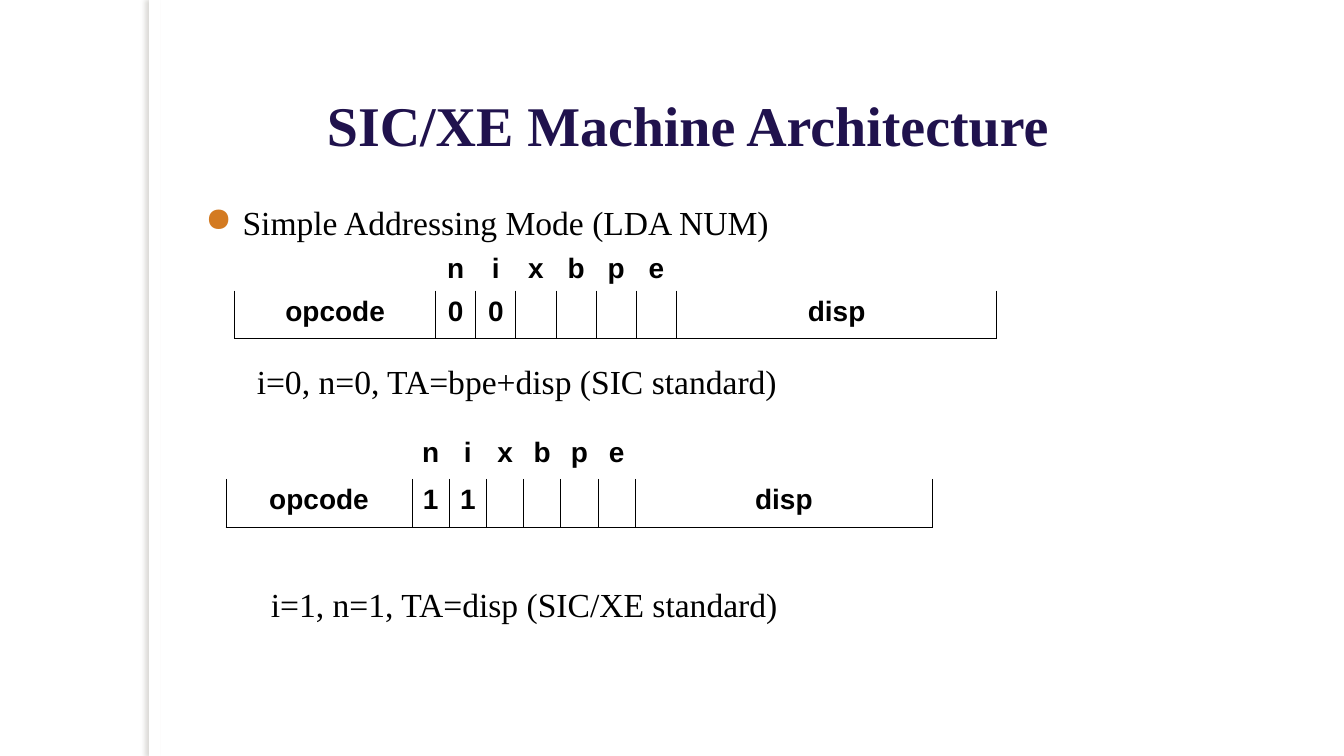
from lxml import etree
from pptx import Presentation
from pptx.dml.color import RGBColor
from pptx.enum.shapes import MSO_SHAPE
from pptx.enum.text import MSO_ANCHOR, PP_ALIGN
from pptx.oxml import parse_xml
from pptx.oxml.ns import nsdecls, qn
from pptx.util import Pt

RECTANGLE = MSO_SHAPE.RECTANGLE
TOP, MIDDLE = MSO_ANCHOR.TOP, MSO_ANCHOR.MIDDLE
LEFT, CENTER = PP_ALIGN.LEFT, PP_ALIGN.CENTER

BLACK = RGBColor(0x00, 0x00, 0x00)
WHITE = RGBColor(0xFF, 0xFF, 0xFF)
NAVY = RGBColor(0x20, 0x12, 0x4D)
ORANGE = RGBColor(0xD3, 0x7A, 0x21)
SHADOW = RGBColor(0x73, 0x6F, 0x63)
SERIF, SANS = "Times New Roman", "Arial"

SLIDE_WIDTH, SLIDE_HEIGHT = 960.5, 540
TITLE = ("SIC/XE Machine Architecture", (51.6, 60.5, 880, 56))
BULLET = ("Simple Addressing Mode (LDA NUM)", (139.7, 140.5, 612, 36))
BULLET_INDENT = 26.6
NOTES = [
    ("i=0, n=0, TA=bpe+disp (SIC standard)", (176.4, 254.2, 464, 36)),
    ("i=1, n=1, TA=disp (SIC/XE standard)", (186.5, 413.3, 460, 36)),
]
FLAGS = ["n", "i", "x", "b", "p", "e"]
INSTRUCTIONS = [
    {"flag_values": ["0", "0"], "left": 167.8, "top": 177.1,
     "columns": (143.5, 28.7, 229), "rows": (29.5, 34)},
    {"flag_values": ["1", "1"], "left": 161.6, "top": 308.5,
     "columns": (132.9, 26.6, 212.4), "rows": (34, 34)},
]


def write_text(frame, text, size=24, font=SERIF, color=BLACK, bold=False,
               align=LEFT, line_spacing=None):
    paragraph = frame.paragraphs[0]
    paragraph.alignment = align
    paragraph.line_spacing = line_spacing
    run = paragraph.add_run()
    run.text = text
    run.font.size = Pt(size)
    run.font.name = font
    run.font.bold = bold
    run.font.color.rgb = color
    return paragraph


def add_text(slide, text, box, anchor=TOP, **text_format):
    frame = slide.shapes.add_textbox(*map(Pt, box)).text_frame
    frame.word_wrap = True
    frame.vertical_anchor = anchor
    return write_text(frame, text, **text_format)


def add_bullet(paragraph):
    properties = paragraph._p.get_or_add_pPr()
    properties.set("marL", str(Pt(BULLET_INDENT)))
    properties.set("indent", str(-Pt(BULLET_INDENT)))
    color = etree.SubElement(properties, qn("a:buClr"))
    etree.SubElement(color, qn("a:srgbClr")).set("val", str(ORANGE))
    etree.SubElement(properties, qn("a:buChar")).set("char", "●")


def add_side_strip(slide):
    strip = slide.shapes.add_shape(RECTANGLE, Pt(106.6), Pt(0), Pt(8), Pt(SLIDE_HEIGHT))
    strip.fill.solid()
    strip.fill.fore_color.rgb = WHITE
    strip.line.fill.background()
    strip.shadow.inherit = False
    effects = strip._element.spPr.find(qn("a:effectLst"))
    effects.append(parse_xml(
        f'<a:outerShdw {nsdecls("a")} blurRad="{Pt(3)}" dist="{Pt(3)}" dir="10800000">'
        f'<a:srgbClr val="{SHADOW}"><a:alpha val="25000"/></a:srgbClr></a:outerShdw>'))


def add_borders(cell):
    properties = cell._tc.get_or_add_tcPr()
    for position, side in enumerate(("lnL", "lnR", "lnT", "lnB")):
        properties.insert(position, parse_xml(
            f'<a:{side} {nsdecls("a")} w="{Pt(0.75)}"><a:solidFill>'
            f'<a:srgbClr val="{BLACK}"/></a:solidFill></a:{side}>'))


def add_instruction(slide, flag_values, left, top, columns, rows):
    opcode_width, flag_width, disp_width = columns
    widths = [opcode_width] + [flag_width] * len(FLAGS) + [disp_width]
    blanks = [""] * (len(FLAGS) - len(flag_values))
    content = [["", *FLAGS, ""], ["opcode", *flag_values, *blanks, "disp"]]
    table = slide.shapes.add_table(len(rows), len(widths), Pt(left), Pt(top),
                                   Pt(sum(widths)), Pt(sum(rows))).table
    table.first_row = table.horz_banding = False
    for column, width in zip(table.columns, widths):
        column.width = Pt(width)
    for row_index, (height, texts) in enumerate(zip(rows, content)):
        table.rows[row_index].height = Pt(height)
        for column_index, text in enumerate(texts):
            cell = table.cell(row_index, column_index)
            cell.fill.background()
            cell.margin_left = cell.margin_right = Pt(3.6)
            cell.margin_top, cell.margin_bottom = Pt(5), Pt(3.6)
            if text:
                write_text(cell.text_frame, text, size=20, font=SANS, bold=True,
                           align=CENTER, line_spacing=0.93)
            if row_index == 1:
                add_borders(cell)


def main():
    presentation = Presentation()
    presentation.slide_width, presentation.slide_height = Pt(SLIDE_WIDTH), Pt(SLIDE_HEIGHT)
    slide = presentation.slides.add_slide(presentation.slide_layouts[6])
    add_side_strip(slide)
    add_text(slide, *TITLE, anchor=MIDDLE, size=40, color=NAVY, bold=True, align=CENTER)
    add_bullet(add_text(slide, *BULLET))
    for instruction, note in zip(INSTRUCTIONS, NOTES):
        add_instruction(slide, **instruction)
        add_text(slide, *note)
    presentation.save("out.pptx")


if __name__ == "__main__":
    main()
